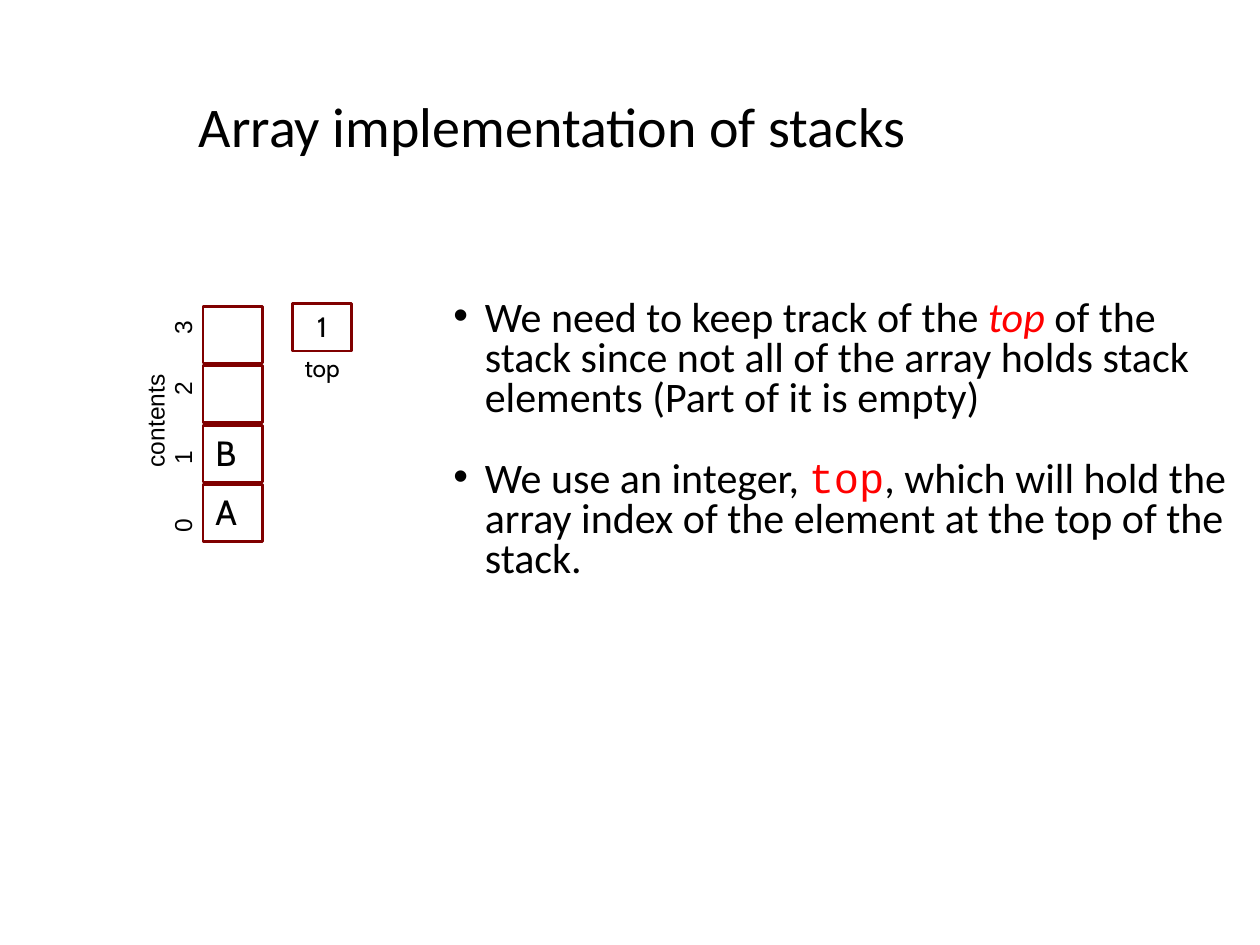
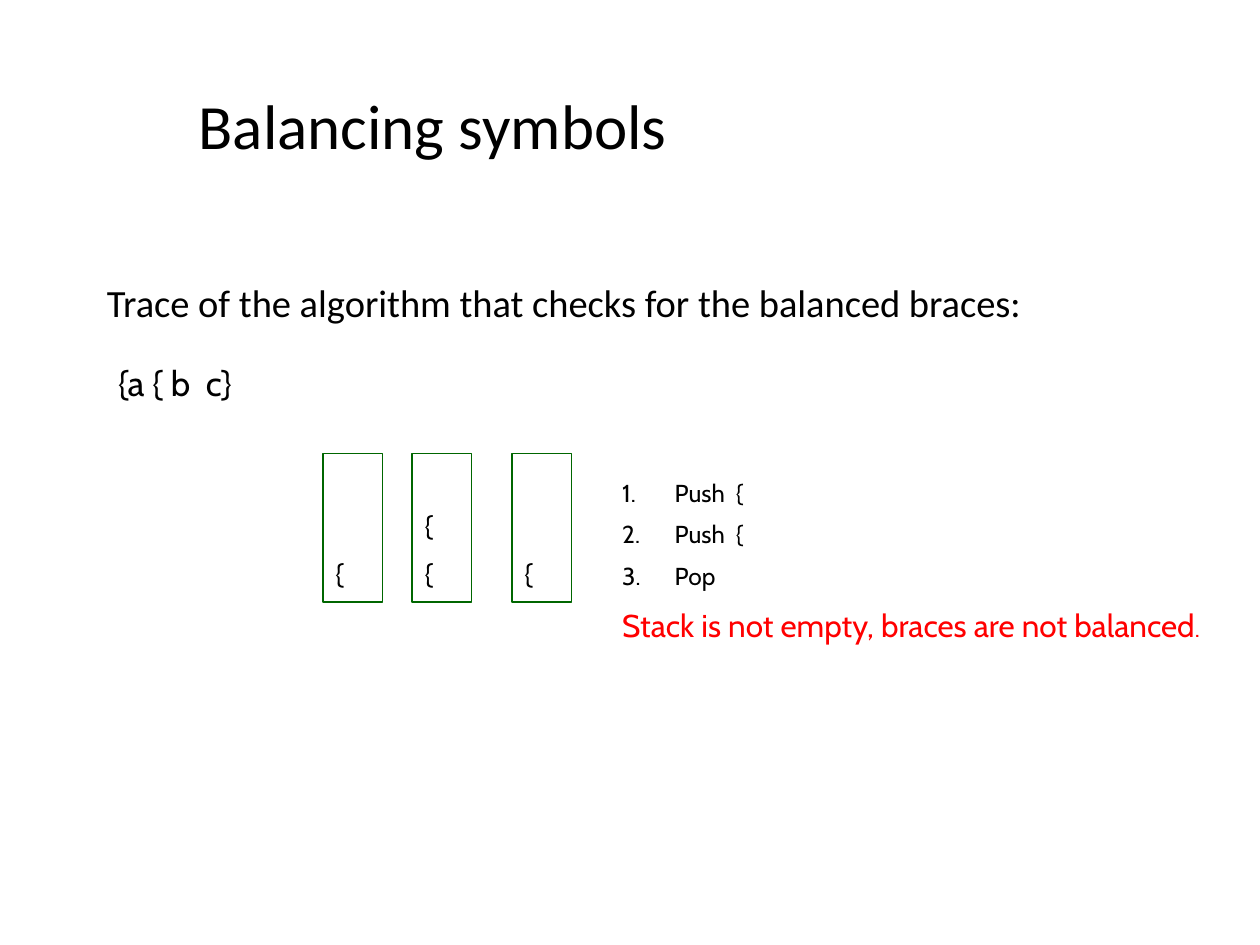
"""Build two slides on stacks: the array implementation and a brace-balancing trace."""
import pptx
import pptx.dml.color
import pptx.enum.shapes
import pptx.enum.text
import pptx.oxml.ns
import pptx.util
from lxml import etree

Pt = pptx.util.Pt
ALIGN = pptx.enum.text.PP_ALIGN
ANCHOR = pptx.enum.text.MSO_ANCHOR
qn = pptx.oxml.ns.qn
BLACK, RED, MAROON, GREEN = "000000", "FF0000", "800000", "006600"


def color(fmt, value):
    fmt.rgb = pptx.dml.color.RGBColor.from_string(value)


def box(s, x, y, w, h, text, size, font="Cabin", line=None, width=1.5, align=ALIGN.LEFT):
    """Add a text box, or an outlined rectangle; "*" in a paragraph starts a new run."""
    if line:
        rect = pptx.enum.shapes.MSO_SHAPE.RECTANGLE
        sp = s.shapes.add_shape(rect, Pt(x), Pt(y), Pt(w), Pt(h))
        sp.shadow.inherit = False
        sp.fill.background()
        color(sp.line.color, line)
        sp.line.width = Pt(width)
    else:
        sp = s.shapes.add_textbox(Pt(x), Pt(y), Pt(w), Pt(h))
    tf = sp.text_frame
    tf.word_wrap = True
    tf.vertical_anchor = ANCHOR.TOP
    tf.text = text
    for p in tf.paragraphs:
        p.alignment = align
        first, *rest = p.text.split("*")
        p.text = first
        for part in rest:
            p.add_run().text = part
        for r in p.runs:
            r.font.size, r.font.name = Pt(size), font
            color(r.font.color, BLACK)
    return sp


prs = pptx.Presentation()
prs.slide_width, prs.slide_height = Pt(720), Pt(540)
slides = []
for title, size in [("Array implementation of stacks", 32), ("Balancing symbols", 36)]:
    s = prs.slides.add_slide(prs.slide_layouts[6])
    tf = box(s, 106.5, 16.5, 613.5, 115, title, size, "Calibri").text_frame
    tf.vertical_anchor = ANCHOR.MIDDLE
    tf.paragraphs[0].line_spacing = 0.9
    slides.append(s)
array, trace = slides

notes = (
    "We need to keep track of the *top* of the stack since not all of the array "
    "holds stack elements (Part of it is empty)\n"
    "We use an integer, *top*, which will hold the array index of the element "
    "at the top of the stack."
)
tf = box(array, 252, 167.8, 468, 187, notes, 24, "Calibri").text_frame
tf.margin_right = Pt(10)
for p in tf.paragraphs:
    p.line_spacing = 0.8
    pPr = p._p.get_or_add_pPr()
    pPr.set("marL", str(Pt(18)))
    pPr.set("indent", str(Pt(-18)))
    etree.SubElement(pPr, qn("a:buFont"), typeface="Arial")
    etree.SubElement(pPr, qn("a:buChar"), char="•")
    color(p.runs[1].font.color, RED)
tf.paragraphs[0].runs[1].font.italic = True
tf.paragraphs[1].runs[1].font.name = "Courier New"
tf.paragraphs[1].space_before = Pt(23)

for i, item in enumerate(["A", "B", "", ""]):
    box(array, 116, 277 - 34 * i, 34, 32.5, item, 20, line=MAROON)

contents = box(array, 29, 232.5, 119, 24, "contents", 14, "Arial", align=ALIGN.CENTER)
indices = box(array, 30.5, 233.5, 147.5, 24, "0\t1\t2\t3", 14, "Arial")
for sp in (contents, indices):
    sp.rotation = 270
    sp.text_frame.margin_left = Pt(15)
pPr = indices.text_frame.paragraphs[0]._p.get_or_add_pPr()
tabs = etree.SubElement(pPr, qn("a:tabLst"))
for stop in (39, 78, 113):
    etree.SubElement(tabs, qn("a:tab"), pos=str(Pt(stop)), algn="l")

box(array, 167, 173.5, 34, 27, "1", 16, line=MAROON, align=ALIGN.CENTER)
box(array, 167, 198, 45, 24, "top", 14)

heading = "Trace of the algorithm that checks for the balanced braces:"
tf = box(trace, 54, 159, 666, 324, heading, 22, "Calibri").text_frame
tf.paragraphs[0].line_spacing = 0.9
box(trace, 60.5, 203, 124.5, 31.5, "{a { b  c}", 20)

for x, stack in [(184.5, "{"), (235.5, "{\n{"), (292.5, "{")]:
    tf = box(trace, x, 259, 34, 85, stack, 16, line=GREEN, width=0.75).text_frame
    tf.vertical_anchor = ANCHOR.BOTTOM
    tf.margin_bottom = Pt(7)
    for p in tf.paragraphs[1:]:
        p.space_before = Pt(8)

steps = "Push  {\nPush  {\nPop\nStack is not empty, braces are not balanced*."
tf = box(trace, 348.5, 269.5, 363, 129.5, steps, 14).text_frame
tf.margin_right = Pt(15)
*numbered, verdict = tf.paragraphs
for p in tf.paragraphs:
    pPr = p._p.get_or_add_pPr()
    pPr.set("marL", str(Pt(30)))
    pPr.set("indent", str(Pt(-10 if p is verdict else -30)))
for p in numbered:
    if p is not numbered[0]:
        p.space_before = Pt(7)
    etree.SubElement(p._p.get_or_add_pPr(), qn("a:buAutoNum"), type="arabicPeriod")
verdict.space_before = Pt(9)
verdict.runs[0].font.size = Pt(18)
for r in verdict.runs:
    color(r.font.color, RED)

prs.save("out.pptx")
